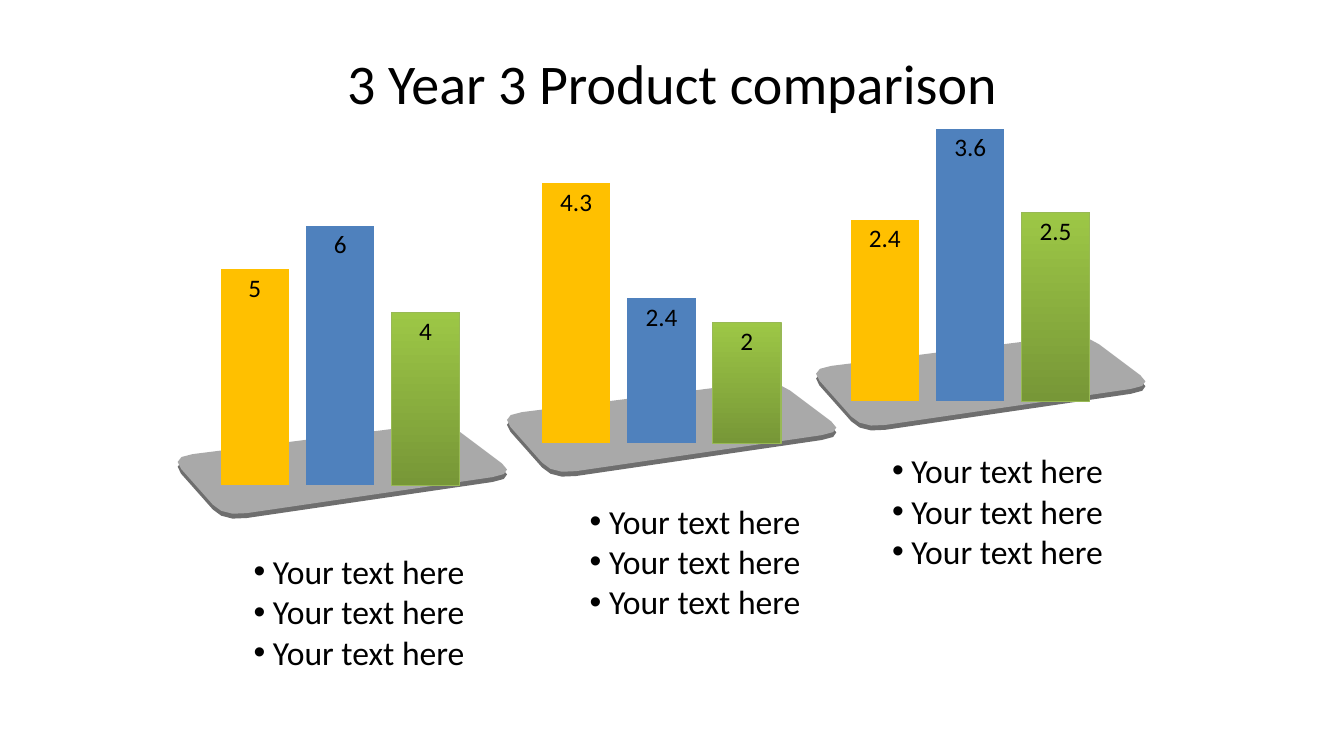
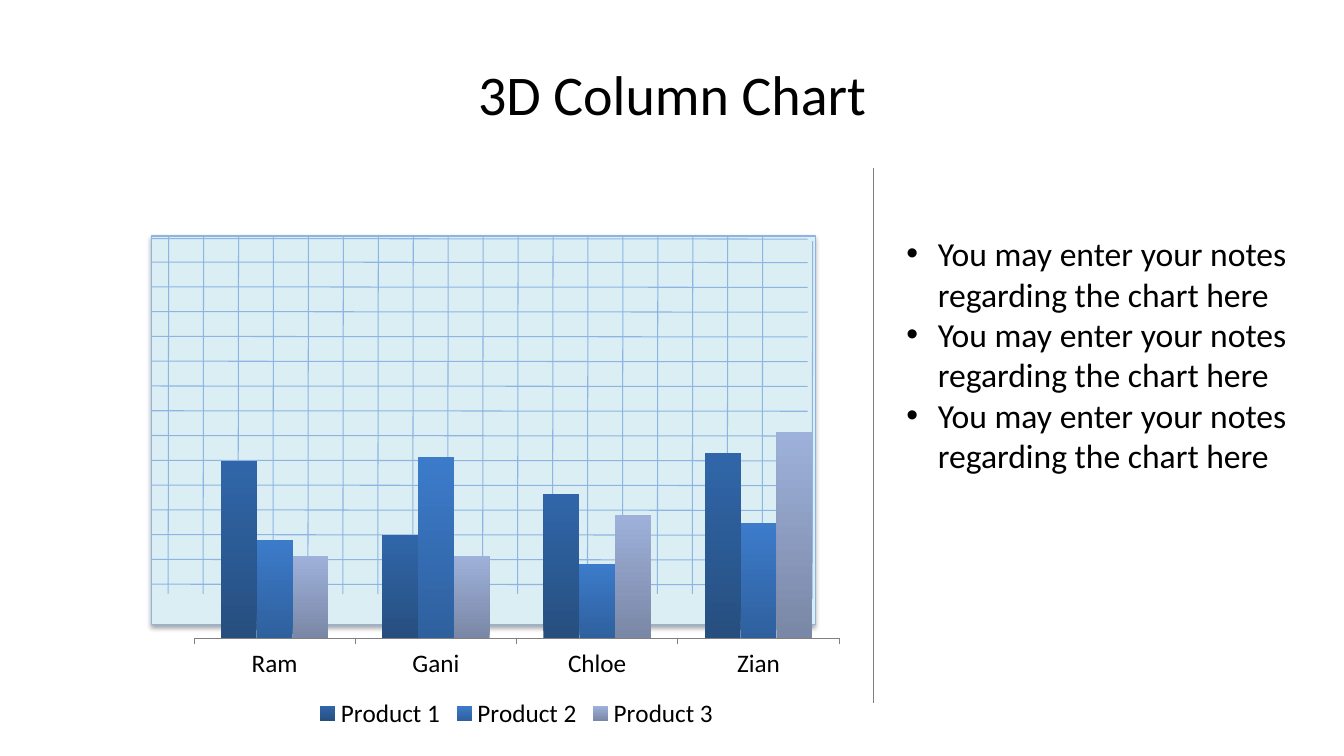
import lxml.etree
import pptx
import pptx.chart.data
import pptx.dml.color
import pptx.enum.chart
import pptx.enum.shapes
import pptx.enum.text
import pptx.oxml.ns
import pptx.util

qn = pptx.oxml.ns.qn


def colour(text):
    return pptx.dml.color.RGBColor.from_string(text)


class Designer:
    FONT = "Calibri"
    INK = "000000"
    AXIS = "808080"
    GRID = "8EB4E3"
    PANEL = "DBEEF4"
    SLAB = "A9A9A9"
    SLAB_EDGE = "6E6E6E"
    COLUMNS, ROWS = 160, 90
    CELL = pptx.util.Pt(6)
    SLAB_CORNERS = [(-1.7, 6.9), (31.2, 2.75), (39.4, 8.9), (4.6, 14)]

    def __init__(self):
        self.deck = pptx.Presentation()
        self.deck.slide_width = self.grid(self.COLUMNS)
        self.deck.slide_height = self.grid(self.ROWS)
        self.page = None

    def grid(self, *cells):
        lengths = [pptx.util.Emu(round(cell * self.CELL)) for cell in cells]
        return lengths[0] if len(lengths) == 1 else lengths

    def new_page(self, layout, title, area):
        self.page = self.deck.slides.add_slide(self.deck.slide_layouts[layout])
        box = self.page.shapes.title
        self.place(box, area)
        box.text_frame.vertical_anchor = pptx.enum.text.MSO_ANCHOR.MIDDLE
        para = box.text_frame.paragraphs[0]
        para.alignment = pptx.enum.text.PP_ALIGN.CENTER
        self.span(para, title, 40)

    def place(self, box, area):
        box.left, box.top, box.width, box.height = self.grid(*area)
        box.text_frame.word_wrap = True
        box.text_frame.auto_size = pptx.enum.text.MSO_AUTO_SIZE.NONE

    def style(self, font, size):
        font.name = self.FONT
        font.size = pptx.util.Pt(size)
        font.bold = False
        font.color.rgb = colour(self.INK)

    def span(self, para, text, size):
        span = para.add_run()
        span.text = text
        self.style(span.font, size)

    def bullets(self, slot, area, texts, indent):
        box = self.page.placeholders[slot]
        self.place(box, area)
        frame = box.text_frame
        frame.vertical_anchor = pptx.enum.text.MSO_ANCHOR.TOP
        for index, text in enumerate(texts):
            para = frame.add_paragraph() if index else frame.paragraphs[0]
            props = para._p.get_or_add_pPr()
            props.set("marL", str(self.grid(indent)))
            props.set("indent", str(-self.grid(indent)))
            lxml.etree.SubElement(props, qn("a:buFont")).set("typeface", "Arial")
            lxml.etree.SubElement(props, qn("a:buChar")).set("char", "•")
            para.space_before = pptx.util.Pt(0)
            self.span(para, text, 24)

    def drop_unused(self):
        for box in list(self.page.placeholders):
            if not box.text_frame.text:
                box.element.getparent().remove(box.element)

    def paint(self, fill, start, end=None):
        if end is None:
            fill.solid()
            fill.fore_color.rgb = colour(start)
            return
        fill.gradient()
        fill.gradient_angle = 90
        for stop, tone in zip(fill.gradient_stops, (start, end)):
            stop.color.rgb = colour(tone)

    def shadow(self, shape, tone, blur, distance, alpha):
        shape.shadow.inherit = False
        effects = shape.element.spPr.find(qn("a:effectLst"))
        shadow = lxml.etree.SubElement(effects, qn("a:outerShdw"))
        shadow.set("blurRad", str(pptx.util.Pt(blur)))
        shadow.set("dist", str(pptx.util.Pt(distance)))
        shadow.set("dir", "5400000")
        shadow.set("rotWithShape", "0")
        value = lxml.etree.SubElement(shadow, qn("a:srgbClr"))
        value.set("val", tone)
        lxml.etree.SubElement(value, qn("a:alpha")).set("val", str(alpha * 1000))

    def line(self, start, end, tone, shapes=None):
        shapes = shapes or self.page.shapes
        straight = pptx.enum.shapes.MSO_CONNECTOR.STRAIGHT
        line = shapes.add_connector(straight, *self.grid(*start, *end))
        line.line.color.rgb = colour(tone)
        line.line.width = pptx.util.Pt(0.75)
        lxml.etree.SubElement(line.element.spPr, qn("a:effectLst"))

    def rounded_outline(self, left, top):
        def toward(here, there, share):
            return tuple(a + (b - a) * share for a, b in zip(here, there))

        corners = [(left + x, top + y) for x, y in self.SLAB_CORNERS]
        points = []
        for index, corner in enumerate(corners):
            before, after = (0.2, 0.08) if index % 2 == 0 else (0.08, 0.2)
            start = toward(corner, corners[index - 1], before)
            end = toward(corner, corners[(index + 1) % 4], after)
            for step in range(4):
                first = toward(start, corner, step / 3)
                second = toward(corner, end, step / 3)
                points.append(self.grid(*toward(first, second, step / 3)))
        return points

    def slab(self, left, top):
        points = self.rounded_outline(left, top)
        builder = self.page.shapes.build_freeform(*points[0])
        builder.add_line_segments(points[1:], close=True)
        shape = builder.convert_to_shape()
        self.paint(shape.fill, self.SLAB)
        shape.line.fill.background()
        self.shadow(shape, self.SLAB_EDGE, 0, 3.5, 100)

    def graph_paper(self, left, top, width, height):
        group = self.page.shapes.add_group_shape()
        kind = pptx.enum.shapes.MSO_SHAPE.RECTANGLE
        panel = group.shapes.add_shape(kind, *self.grid(left, top, width, height))
        self.paint(panel.fill, self.PANEL)
        panel.line.color.rgb = colour(self.GRID)
        panel.line.width = pptx.util.Pt(0.75)
        self.shadow(panel, self.INK, 3.1, 1.8, 35)
        slant = 0.06
        for y in [28.4] + [31.2 + 2.95 * row for row in range(14)]:
            self.line((left, y), (96.15, y + slant), self.GRID, group.shapes)
        for x in [20.08 + 4.16 * column for column in range(18)]:
            self.line((x, top), (x - slant, 70.7), self.GRID, group.shapes)
        self.line((96.75, 28.7), (96.75 - slant, 71.3), self.GRID, group.shapes)

    def column_chart(self, area, categories, series, top, gap, overlap):
        data = pptx.chart.data.CategoryChartData()
        data.categories = categories
        for name, values, tones in series:
            data.add_series(name, values)
        kind = pptx.enum.chart.XL_CHART_TYPE.COLUMN_CLUSTERED
        chart = self.page.shapes.add_chart(kind, *self.grid(*area), data).chart
        chart.has_title = False
        chart.has_legend = False
        self.style(chart.font, 18)
        backdrop = lxml.etree.Element(qn("c:spPr"))
        lxml.etree.SubElement(backdrop, qn("a:noFill"))
        outline = lxml.etree.SubElement(backdrop, qn("a:ln"))
        lxml.etree.SubElement(outline, qn("a:noFill"))
        chart.element.find(qn("c:chart")).addnext(backdrop)
        chart.value_axis.minimum_scale = 0
        chart.value_axis.maximum_scale = top
        chart.value_axis.has_major_gridlines = False
        chart.value_axis.visible = False
        plot = chart.plots[0]
        plot.vary_by_categories = False
        plot.gap_width = gap
        plot.overlap = overlap
        for bars, (name, values, tones) in zip(plot.series, series):
            self.paint(bars.format.fill, *tones)
        return chart

    def product_chart(self, area, values, top):
        tones = [("FFC000",), ("4F81BD",), ("779737", "9DC746")]
        series = [(f"Series {number}", [value], tone)
                  for number, (value, tone) in enumerate(zip(values, tones), 1)]
        chart = self.column_chart(area, ["1"], series, top, 75, -25)
        chart.category_axis.visible = False
        plot = chart.plots[0]
        plot.has_data_labels = True
        labels = plot.data_labels
        labels.show_value = True
        labels.position = pptx.enum.chart.XL_LABEL_POSITION.INSIDE_END
        self.style(labels.font, 18)
        edge = plot.series[2].format.line
        edge.color.rgb = colour("98B955")
        edge.width = pptx.util.Pt(0.75)

    def people_chart(self, area, categories, series):
        chart = self.column_chart(area, categories, series, 120, 150, 0)
        axis = chart.category_axis
        axis.format.line.color.rgb = colour(self.AXIS)
        axis.major_tick_mark = pptx.enum.chart.XL_TICK_MARK.OUTSIDE
        chart.has_legend = True
        chart.legend.position = pptx.enum.chart.XL_LEGEND_POSITION.BOTTOM
        chart.legend.include_in_layout = False
        self.style(chart.legend.font, 18)


def comparison_page(designer):
    designer.new_page(4, "3 Year 3 Product comparison", (26, 3.6, 108, 12.4))
    years = [
        ((22, 47.5), (22.5, 21), (29, 65), (5, 6, 4), 7),
        ((61.2, 42.5), (60.75, 16), (69, 59), (4.3, 2.4, 2), 5),
        ((98, 37), (97.5, 11), (105, 53), (2.4, 3.6, 2.5), 4),
    ]
    for slab, chart, notes, values, top in reversed(years):
        designer.slab(*slab)
    for slot, (slab, chart, notes, values, top) in enumerate(years, 1):
        designer.product_chart((*chart, 36, 37.5), values, top)
        designer.bullets(slot, (*notes, 32, 15.7), ["Your text here"] * 3, 2.3)
    designer.drop_unused()


def column_page(designer):
    designer.new_page(1, "3D Column Chart", (8, 3.6, 144, 15))
    designer.graph_paper(18, 28.1, 79.05, 46.3)
    series = [
        ("Product 1", (86, 50, 70, 90), ("264F7F", "3066A9")),
        ("Product 2", (48, 88, 36, 56), ("2F609E", "3C7BCA")),
        ("Product 3", (40, 40, 60, 100), ("7A87A6", "9EB1DA")),
    ]
    people = ["Ram", "Gani", "Chloe", "Zian"]
    designer.people_chart((21.5, 45.75, 80, 41.6), people, series)
    note = "You may enter your notes regarding the chart here"
    designer.bullets(1, (106.7, 27.16, 48, 30.25), [note] * 3, 3.75)
    designer.line((104, 20), (104, 83.75), designer.AXIS)


def main():
    designer = Designer()
    comparison_page(designer)
    column_page(designer)
    designer.deck.save("out.pptx")


if __name__ == "__main__":
    main()
